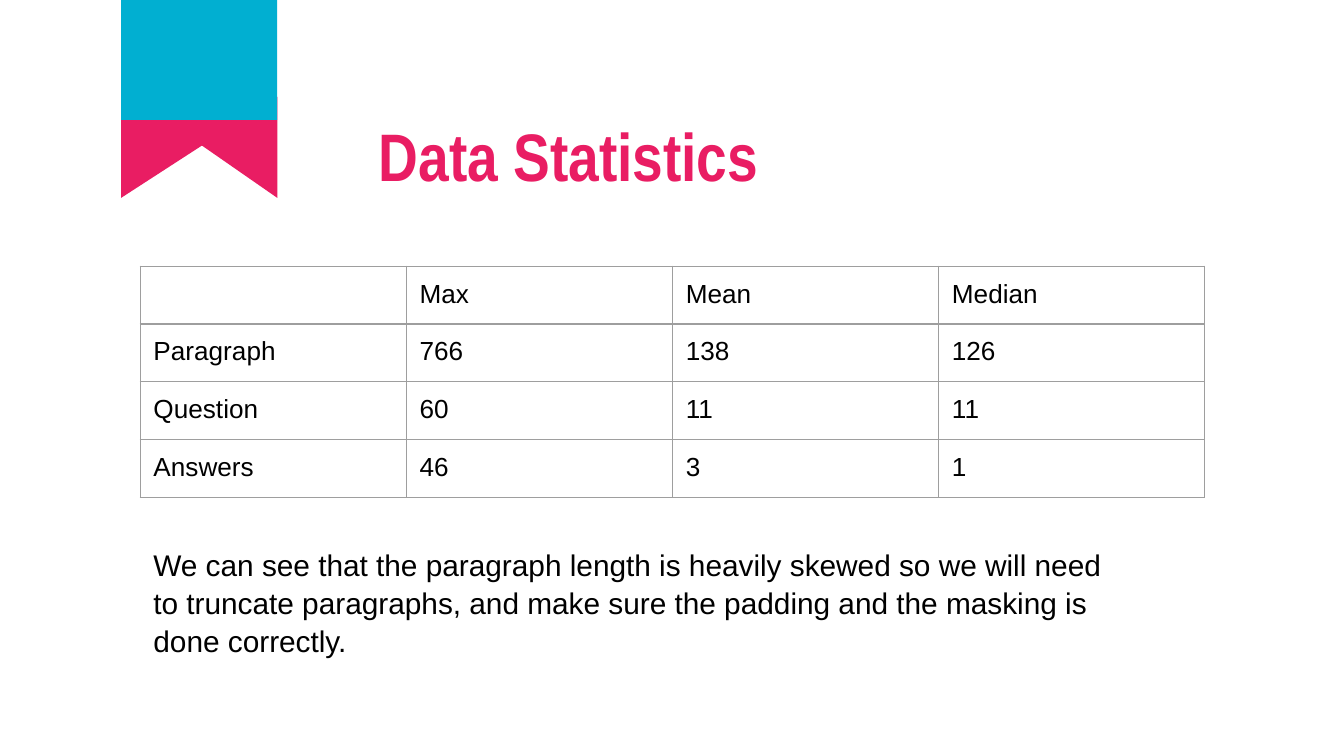
"""Build the Data Statistics slide with a ribbon, a table and a remark."""
from lxml.etree import SubElement
from pptx import Presentation
from pptx.dml.color import RGBColor
from pptx.enum.shapes import MSO_SHAPE as Shape
from pptx.enum.text import MSO_ANCHOR as Anchor
from pptx.oxml.ns import qn
from pptx.util import Cm, Pt

COLORS = {"cyan": "01AFD1", "pink": "E91D63", "text": "000000", "grid": "9E9E9E"}
INSET = Cm(0.25)
MARGINS = {f"margin_{side}": INSET for side in ("left", "right", "top", "bottom")}


def apply(target, formats):
    for name, value in formats.items():
        setattr(target, name, value)


def write(frame, text, color, formats):
    para = frame.paragraphs[0]
    span = para.add_run()
    span.text = text
    apply(span.font, formats)
    span.font.color.rgb = RGBColor.from_string(COLORS[color])
    return para


deck = Presentation()
apply(deck, {"slide_width": Cm(25.4), "slide_height": Cm(14.29)})
page = deck.slides.add_slide(deck.slide_layouts[6])

ribbon_left, ribbon_width, tail_top, tail_height = 2.29, 2.95, 1.83, 1.91
notch_shift = 0.2
ribbon = [
    (Shape.RIGHT_TRIANGLE, ribbon_left, tail_top, ribbon_width, tail_height, "pink", 180, True),
    (Shape.RIGHT_TRIANGLE, ribbon_left + notch_shift, tail_top,
     ribbon_width - notch_shift, tail_height, "pink", 180, False),
    (Shape.RECTANGLE, ribbon_left, 0, ribbon_width, 2.27, "cyan", 0, False),
]
for kind, left, top, width, height, color, rotation, flipped in ribbon:
    piece = page.shapes.add_shape(kind, Cm(left), Cm(top), Cm(width), Cm(height))
    piece.shadow.inherit = False
    piece.rotation = rotation
    piece.fill.solid()
    piece.fill.fore_color.rgb = RGBColor.from_string(COLORS[color])
    piece.line.fill.background()
    if flipped:
        piece.element.spPr.find(qn("a:xfrm")).set("flipH", "1")

remark = (
    "We can see that the paragraph length is heavily skewed so we will need to truncate "
    "paragraphs, and make sure the padding and the masking is done correctly."
)
texts = [
    ("Data Statistics", (6.91, -0.3, 16.26, 4.24), Anchor.BOTTOM, "pink", 1,
     {"name": "Arial Narrow", "size": Pt(36), "bold": True}),
    (remark, (2.65, 10.06, 19.02, 3.07), Anchor.TOP, "text", 1.05,
     {"name": "Arial", "size": Pt(16)}),
]
for text, place, anchor, color, spacing, formats in texts:
    box = page.shapes.add_textbox(*map(Cm, place))
    apply(box.text_frame, {"word_wrap": True, "vertical_anchor": anchor, **MARGINS})
    para = write(box.text_frame, text, color, formats)
    para.line_spacing = spacing

rows = [
    ("", "Max", "Mean", "Median"),
    ("Paragraph", "766", "138", "126"),
    ("Question", "60", "11", "11"),
    ("Answers", "46", "3", "1"),
]
column_width, row_height = 5.03, 1.06
frame = page.shapes.add_table(
    len(rows), len(rows[0]), Cm(2.65), Cm(5.03),
    Cm(column_width * len(rows[0])), Cm(row_height * len(rows)),
)
table = frame.table
apply(table, {"first_row": False, "horz_banding": False})
for column in table.columns:
    column.width = Cm(column_width)
for row, values in zip(table.rows, rows):
    row.height = Cm(row_height)
    for cell, value in zip(row.cells, values):
        if value:
            apply(cell, MARGINS)
            write(cell.text_frame, value, "text", {"name": "Arial", "size": Pt(14)})
        properties = cell._tc.get_or_add_tcPr()
        for side in ("lnL", "lnR", "lnT", "lnB"):
            border = SubElement(properties, qn(f"a:{side}"), w=str(Pt(0.75)))
            fill = SubElement(border, qn("a:solidFill"))
            SubElement(fill, qn("a:srgbClr"), val=COLORS["grid"])
        cell.fill.background()

deck.save("out.pptx")
